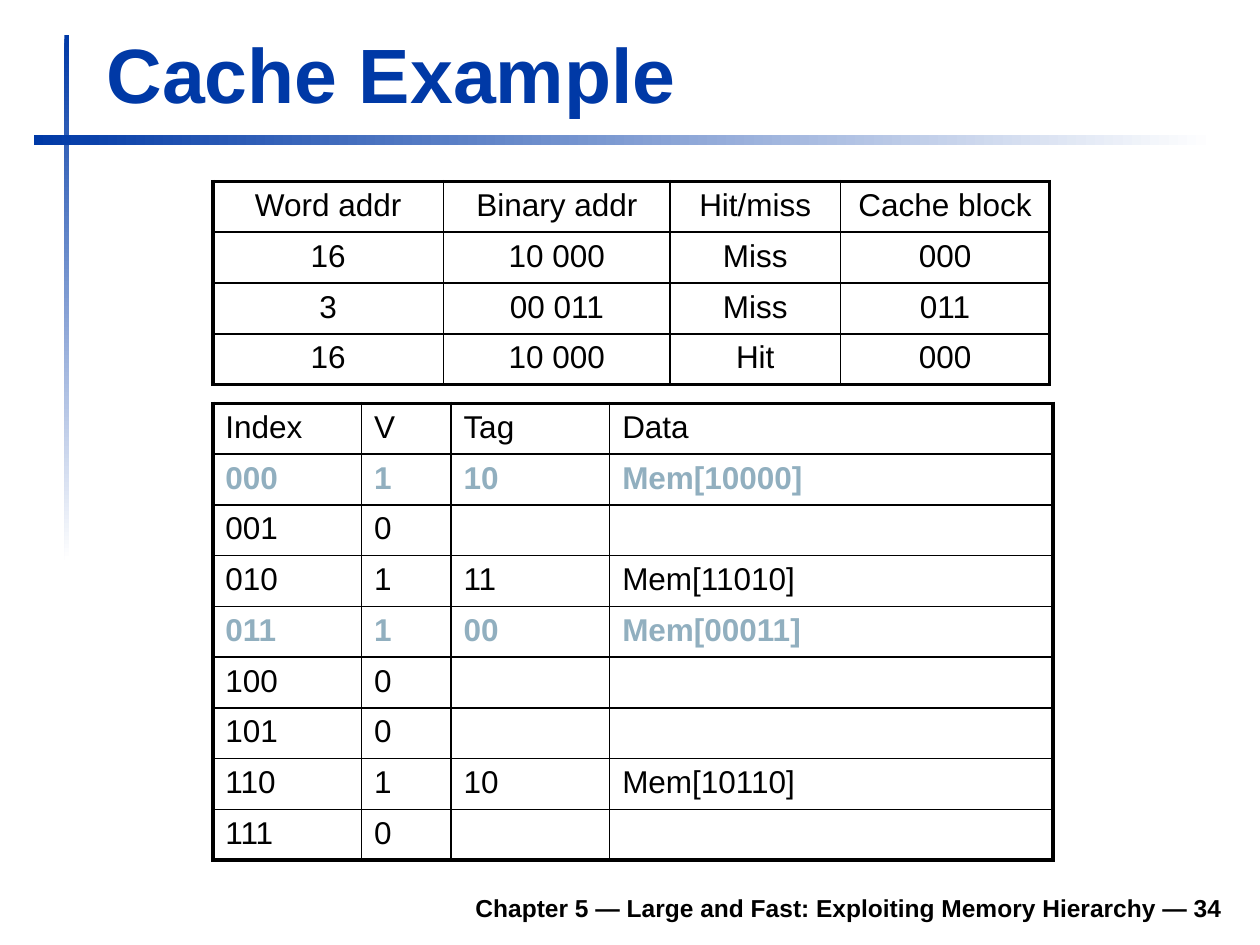
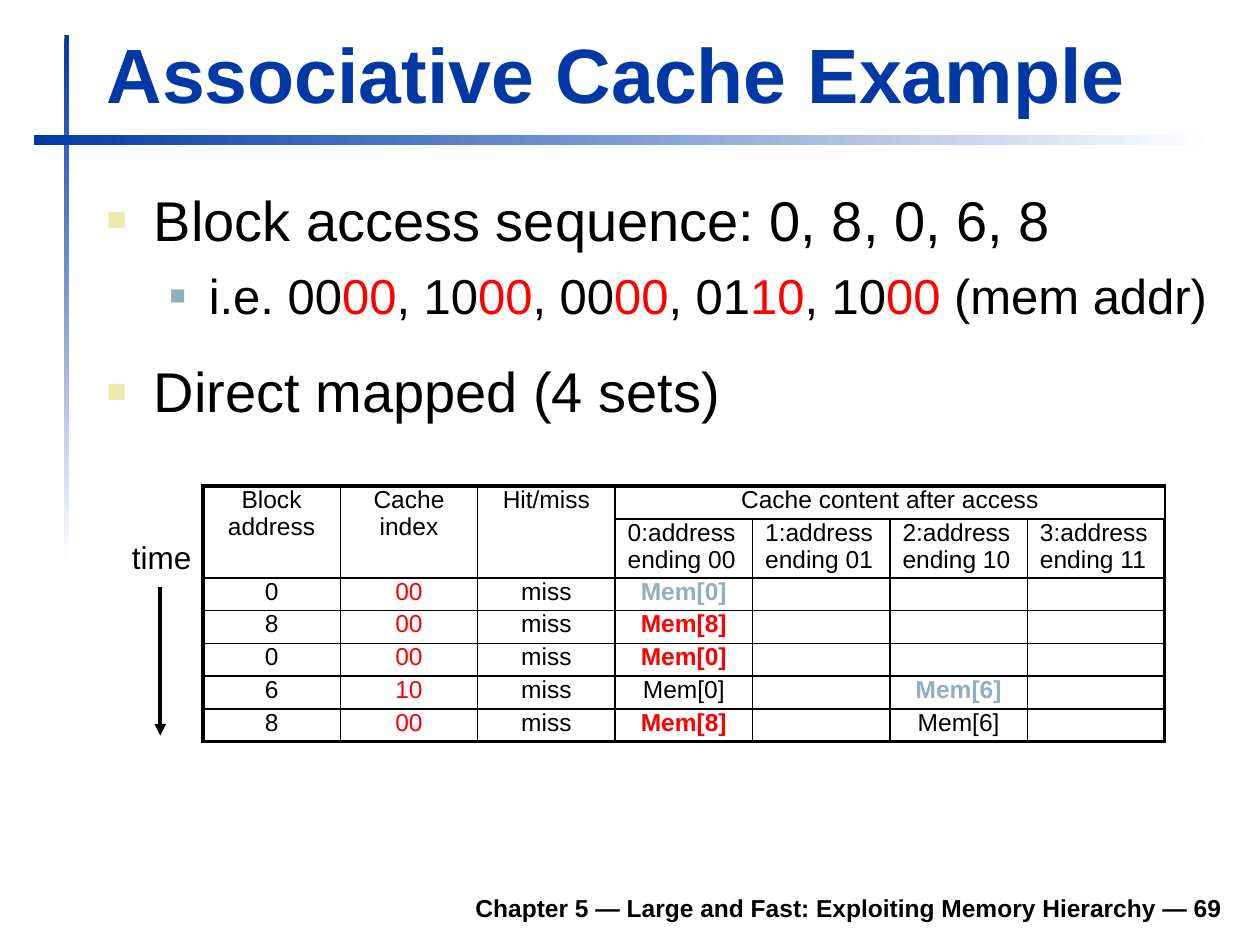
import pptx
import pptx.dml.color
import pptx.enum.shapes
import pptx.enum.text
import pptx.oxml.ns
import pptx.util
from lxml import etree
from pptx.util import Cm, Pt

FONT = "Arial"
BLUE, BLACK, WHITE = "0039A6", "000000", "FFFFFF"
STEEL, SAND, RED = "91AFBF", "ECEAAC", "FF0000"
FOOTER = "Chapter 5 — Large and Fast: Exploiting Memory Hierarchy — "
FRAME, THIN, MEDIUM = 2.25, 1, 1.5
ALIGN = pptx.enum.text.PP_ALIGN
ANCHOR = pptx.enum.text.MSO_ANCHOR


def rgb(value):
    return pptx.dml.color.RGBColor.from_string(value)


def sub(parent, tag, **attrs):
    return etree.SubElement(parent, pptx.oxml.ns.qn(tag), attrs)


def add_run(p, text, size, color=BLACK, bold=False):
    r = p.add_run()
    r.text = text
    r.font.name = FONT
    r.font.size = Pt(size)
    r.font.bold = bold
    r.font.color.rgb = rgb(color)


def add_box(s, left, top, width, height, anchor=ANCHOR.TOP, wrap=True):
    sp = s.shapes.add_textbox(Cm(left), Cm(top), Cm(width), Cm(height))
    tf = sp.text_frame
    tf.word_wrap = wrap
    tf.vertical_anchor = anchor
    return tf


def add_band(s, left, top, width, height, angle):
    kind = pptx.enum.shapes.MSO_SHAPE.RECTANGLE
    sp = s.shapes.add_shape(kind, Cm(left), Cm(top), Cm(width), Cm(height))
    sp.shadow.inherit = False
    sp.line.fill.background()
    sp.fill.gradient()
    sp.fill.gradient_angle = angle
    for stop, color in zip(sp.fill.gradient_stops, (BLUE, WHITE)):
        stop.color.rgb = rgb(color)


def add_slide(prs, title, number):
    s = prs.slides.add_slide(prs.slide_layouts[6])
    add_band(s, 1.3, 0.71, 0.1, 10.59, 270)
    add_band(s, 0.69, 2.72, 23.8, 0.2, 0)
    p = add_box(s, 4.7, 17.73, 20.19, 0.99, ANCHOR.BOTTOM).paragraphs[0]
    p.alignment = ALIGN.RIGHT
    add_run(p, f"{FOOTER}{number}", 14, bold=True)
    tf = add_box(s, 1.9, 0.41, 22.94, 2.11, ANCHOR.BOTTOM)
    add_run(tf.paragraphs[0], title, 44, BLUE, True)
    return s


def add_bullet(p, runs, size, indent, hang, color, scale, before=0):
    pPr = p._p.get_or_add_pPr()
    pPr.set("marL", str(Cm(indent)))
    pPr.set("indent", str(-Cm(hang)))
    p.space_before = Pt(before)
    sub(sub(pPr, "a:buClr"), "a:srgbClr", val=color)
    sub(pPr, "a:buSzPct", val=str(scale * 1000))
    sub(pPr, "a:buFont", typeface=FONT)
    sub(pPr, "a:buChar", char="■")
    for text, run_color in runs:
        add_run(p, text, size, run_color)


def set_borders(cell, **widths):
    tcPr = cell._tc.get_or_add_tcPr()
    for side in "LRTB":
        ln = sub(tcPr, f"a:ln{side}", w=str(Pt(widths[side])))
        sub(sub(ln, "a:solidFill"), "a:srgbClr", val=BLACK)


def add_table(s, left, top, widths, heights, rows, size,
              align=ALIGN.CENTER, inset=0.13, head_rule=THIN, row_rule=THIN):
    frame = s.shapes.add_table(len(heights), len(widths), Cm(left), Cm(top),
                               Cm(sum(widths)), Cm(sum(heights)))
    table = frame.table
    table.first_row = table.horz_banding = False
    for column, width in zip(table.columns, widths):
        column.width = Cm(width)
    for row, height in zip(table.rows, heights):
        row.height = Cm(height)
    row_rules = [FRAME, head_rule] + [row_rule] * (len(heights) - 2) + [FRAME]
    column_rules = [FRAME] + [THIN] * (len(widths) - 1) + [FRAME]
    for i, row in enumerate(rows):
        for j, content in enumerate(row):
            cell = table.cell(i, j)
            cell.margin_top = cell.margin_bottom = Cm(inset)
            set_borders(cell, L=column_rules[j], R=column_rules[j + 1],
                        T=row_rules[i], B=row_rules[i + 1])
            cell.fill.background()
            p = cell.text_frame.paragraphs[0]
            p.alignment = align
            if content:
                text, *style = [content] if isinstance(content, str) else content
                add_run(p, text, size, *style)
            else:
                sub(p._p, "a:endParaRPr", sz=str(size * 100))
    return table


def add_arrow(s, x, top, bottom):
    kind = pptx.enum.shapes.MSO_CONNECTOR.STRAIGHT
    line = s.shapes.add_connector(kind, Cm(x), Cm(top), Cm(x), Cm(bottom))
    line.line.color.rgb = rgb(BLACK)
    line.line.width = Pt(2.25)
    sub(line.line._get_or_add_ln(), "a:tailEnd", type="triangle")
    sub(line._element.spPr, "a:effectLst")


def cache_slide(prs):
    s = add_slide(prs, "Cache Example", 34)
    accesses = [
        ["Word addr", "Binary addr", "Hit/miss", "Cache block"],
        ["16", "10 000", "Miss", "000"],
        ["3", "00 011", "Miss", "011"],
        ["16", "10 000", "Hit", "000"],
    ]
    blocks = {"000": ("10", "Mem[10000]"), "010": ("11", "Mem[11010]"),
              "011": ("00", "Mem[00011]"), "110": ("10", "Mem[10110]")}
    contents = [["Index", "V", "Tag", "Data"]]
    for n in range(8):
        index = f"{n:03b}"
        valid = "1" if index in blocks else "0"
        row = [index, valid, *blocks.get(index, ("", ""))]
        if index in ("000", "011"):
            row = [(text, STEEL, True) for text in row]
        contents.append(row)
    add_table(s, 4.29, 8.13, [3, 1.8, 3.2, 8.94], [1.016] * 9, contents, 18,
              align=ALIGN.LEFT, head_rule=MEDIUM)
    add_table(s, 4.29, 3.66, [4.65, 4.57, 3.43, 4.22], [1.016] * 4, accesses, 18,
              head_rule=MEDIUM, row_rule=MEDIUM)


def associative_slide(prs):
    s = add_slide(prs, "Associative Cache Example", 69)
    tf = add_box(s, 1.9, 3.61, 22.99, 5.6)
    addresses = [("i.e. 00", BLACK), ("00", RED), (", 10", BLACK), ("00", RED),
                 (", 00", BLACK), ("00", RED), (", 01", BLACK), ("10", RED),
                 (", 10", BLACK), ("00", RED), (" (mem addr)", BLACK)]
    add_bullet(tf.paragraphs[0], [("Block access sequence: 0, 8, 0, 6, 8", BLACK)],
               32, 0.95, 0.95, SAND, 60)
    add_bullet(tf.add_paragraph(), addresses, 28, 2.06, 0.79, STEEL, 55, 7.5)
    add_bullet(tf.add_paragraph(), [("Direct mapped (4 sets)", BLACK)],
               32, 0.95, 0.95, SAND, 60, 18.5)

    def access(block, index, set0, set2=""):
        return [block, (index, RED), "miss", set0, "", set2, ""]

    rows = [
        ["Block address", "Cache index", "Hit/miss",
         "Cache content after access", "", "", ""],
        [""] * 3 + [f"{n}:address ending {n:02b}" for n in range(4)],
        access("0", "00", ("Mem[0]", STEEL, True)),
        access("8", "00", ("Mem[8]", RED, True)),
        access("0", "00", ("Mem[0]", RED, True)),
        access("6", "10", "Mem[0]", ("Mem[6]", STEEL, True)),
        access("8", "00", ("Mem[8]", RED, True), "Mem[6]"),
    ]
    table = add_table(s, 4.09, 9.8, [2.77] * 7, [0.66, 1.19] + [0.66] * 5,
                      rows, 14, inset=0)
    for j in range(3):
        table.cell(0, j).merge(table.cell(1, j))
    table.cell(0, 3).merge(table.cell(0, 6))
    for j in range(3, 7):
        table.cell(1, j).text_frame.paragraphs[0].alignment = ALIGN.LEFT

    tf = add_box(s, 2.41, 10.72, 1.73, 1.02, wrap=False)
    add_run(tf.paragraphs[0], "time", 18)
    add_arrow(s, 3.23, 11.84, 14.83)


def main():
    prs = pptx.Presentation()
    prs.slide_width, prs.slide_height = Cm(25.4), Cm(19.05)
    cache_slide(prs)
    associative_slide(prs)
    prs.save("out.pptx")


if __name__ == "__main__":
    main()
